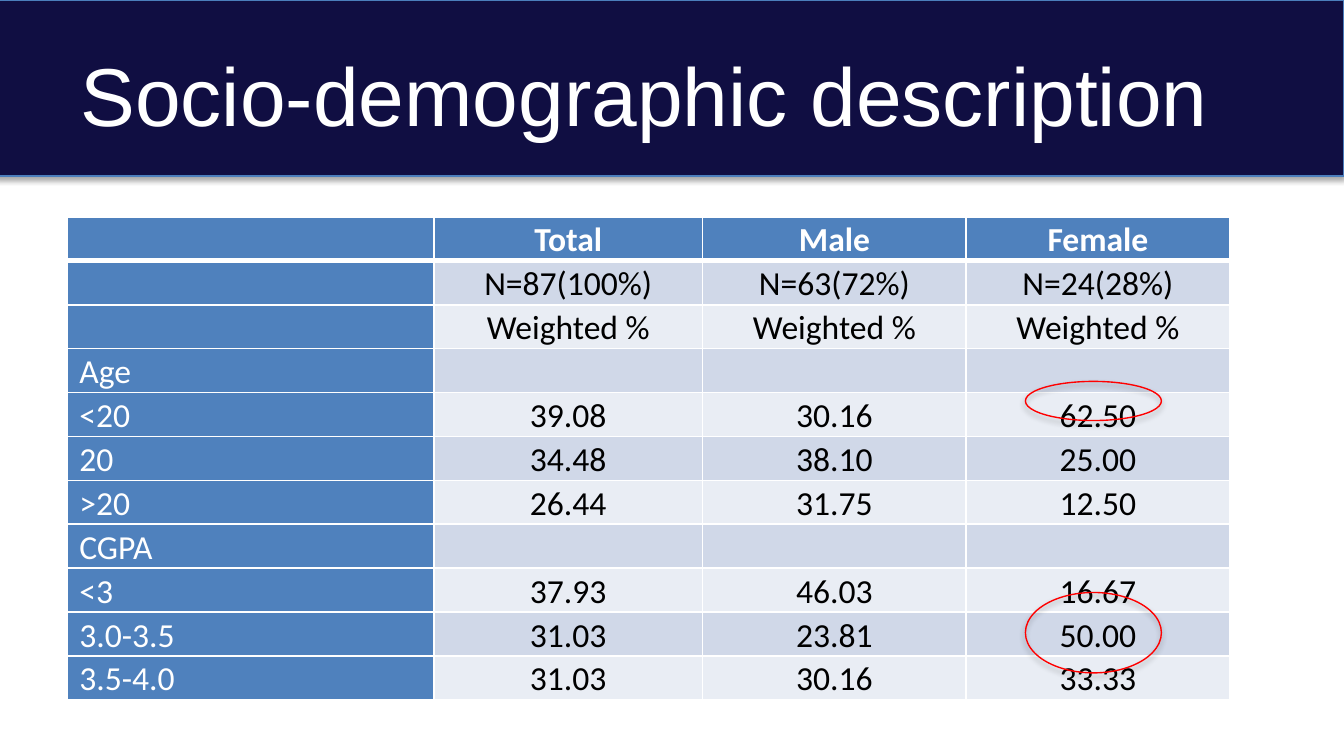
"""Build the socio-demographic description slide."""
from dataclasses import dataclass
from typing import Any, Optional

import lxml.etree
import pptx
import pptx.dml.color
import pptx.enum.shapes
import pptx.enum.text
import pptx.oxml.ns
import pptx.util

Cm = pptx.util.Cm
Pt = pptx.util.Pt
RGBColor = pptx.dml.color.RGBColor
MSO_SHAPE = pptx.enum.shapes.MSO_SHAPE
PP_ALIGN = pptx.enum.text.PP_ALIGN
MIDDLE = pptx.enum.text.MSO_ANCHOR.MIDDLE
qn = pptx.oxml.ns.qn

WHITE = RGBColor(0xFF, 0xFF, 0xFF)
BLACK = RGBColor(0x00, 0x00, 0x00)
NAVY = RGBColor(0x10, 0x0E, 0x42)
BANNER_EDGE = RGBColor(0x4B, 0x7E, 0xBC)
HEADING_BLUE = RGBColor(0x4F, 0x81, 0xBD)
BANDS = (RGBColor(0xE9, 0xED, 0xF4), RGBColor(0xD0, 0xD8, 0xE8))
RED = RGBColor(0xFF, 0x00, 0x00)

COLUMN_WIDTHS = (6.93, 5.08, 4.98, 4.98)
ROW_HEIGHT = 0.74
ROWS = (
    ("", "Total", "Male", "Female"),
    ("", "N=87(100%)", "N=63(72%)", "N=24(28%)"),
    ("", "Weighted %", "Weighted %", "Weighted %"),
    ("Age", "", "", ""),
    ("<20", "39.08", "30.16", "62.50"),
    ("20", "34.48", "38.10", "25.00"),
    (">20", "26.44", "31.75", "12.50"),
    ("CGPA", "", "", ""),
    ("<3", "37.93", "46.03", "16.67"),
    ("3.0-3.5", "31.03", "23.81", "50.00"),
    ("3.5-4.0", "31.03", "30.16", "33.33"),
)
CELL_FORMAT = {
    "margin_left": Cm(0.23), "margin_right": Cm(0.23),
    "margin_top": 0, "margin_bottom": 0, "vertical_anchor": MIDDLE,
}
PARAGRAPH_FORMAT = {"line_spacing": 1.07, "space_after": Pt(8)}
CELL_FONT = {"name": "Calibri", "size": Pt(18)}
TITLE_FONT = {"name": "Arial", "size": Pt(44)}


@dataclass(frozen=True)
class Outline:
    """A shadowed shape, with lengths in centimetres."""

    preset: Any
    left: float
    top: float
    width: float
    height: float
    edge: RGBColor
    fill: Optional[RGBColor] = None


BANNER = Outline(MSO_SHAPE.RECTANGLE, -0.1, 0, 25.5, 3.33, BANNER_EDGE, NAVY)
HIGHLIGHTS = (
    Outline(MSO_SHAPE.OVAL, 19.38, 7.21, 2.57, 0.74, RED),
    Outline(MSO_SHAPE.OVAL, 19.38, 11.2, 2.57, 1.52, RED),
)


def apply_format(target: Any, values: dict) -> None:
    """Set each format value on the target."""
    for attribute, value in values.items():
        setattr(target, attribute, value)


def add_color(parent: Any, color: RGBColor) -> Any:
    """Append an RGB colour element."""
    return lxml.etree.SubElement(parent, qn("a:srgbClr"), val=str(color))


def draw_outline(slide: Any, outline: Outline) -> None:
    """Draw a preset shape with a soft shadow below it."""
    shape = slide.shapes.add_shape(
        outline.preset, Cm(outline.left), Cm(outline.top),
        Cm(outline.width), Cm(outline.height))
    if outline.fill is None:
        shape.fill.background()
    else:
        shape.fill.solid()
        shape.fill.fore_color.rgb = outline.fill
    shape.line.color.rgb = outline.edge
    shape.line.width = Pt(0.75)
    shape.shadow.inherit = False
    effects = shape.element.spPr.find(qn("a:effectLst"))
    shadow = lxml.etree.SubElement(
        effects, qn("a:outerShdw"), blurRad=str(Pt(3.1)), dist=str(Pt(1.8)),
        dir="5400000", rotWithShape="0")
    lxml.etree.SubElement(add_color(shadow, BLACK), qn("a:alpha"), val="35000")


def draw_borders(cell: Any, row: int) -> None:
    """Give a cell white borders, thicker under the header row."""
    widths = {"a:lnL": 1, "a:lnR": 1,
              "a:lnT": 3 if row == 1 else 1, "a:lnB": 3 if row == 0 else 1}
    properties = cell._tc.get_or_add_tcPr()
    for side, width in widths.items():
        border = lxml.etree.SubElement(properties, qn(side), w=str(Pt(width)))
        add_color(lxml.etree.SubElement(border, qn("a:solidFill")), WHITE)


def fill_cell(cell: Any, text: str, row: int, column: int) -> None:
    """Write and format one table cell."""
    heading = row == 0 or column == 0
    apply_format(cell, CELL_FORMAT)
    draw_borders(cell, row)
    cell.fill.solid()
    cell.fill.fore_color.rgb = HEADING_BLUE if heading else BANDS[row % 2]
    paragraph = cell.text_frame.paragraphs[0]
    apply_format(paragraph, PARAGRAPH_FORMAT)
    paragraph.alignment = PP_ALIGN.CENTER if column else PP_ALIGN.LEFT
    if text:
        run = paragraph.add_run()
        run.text = text
        apply_format(run.font, {**CELL_FONT, "bold": row == 0})
        run.font.color.rgb = WHITE if heading else BLACK


def draw_table(slide: Any) -> None:
    """Draw the table of weighted percentages."""
    table = slide.shapes.add_table(
        len(ROWS), len(COLUMN_WIDTHS), Cm(1.27), Cm(4.1),
        Cm(sum(COLUMN_WIDTHS)), Cm(ROW_HEIGHT * len(ROWS))).table
    for column, width in zip(table.columns, COLUMN_WIDTHS):
        column.width = Cm(width)
    for row, texts in enumerate(ROWS):
        table.rows[row].height = Cm(ROW_HEIGHT)
        for column, text in enumerate(texts):
            fill_cell(table.cell(row, column), text, row, column)


def draw_title(slide: Any) -> None:
    """Write the slide title over the banner."""
    title = slide.shapes.add_textbox(Cm(1.27), Cm(0.58), Cm(22.86), Cm(2.39))
    apply_format(title.text_frame, {"word_wrap": True, "vertical_anchor": MIDDLE})
    run = title.text_frame.paragraphs[0].add_run()
    run.text = "Socio-demographic description"
    apply_format(run.font, TITLE_FONT)
    run.font.color.rgb = WHITE


def main() -> None:
    """Build and save the presentation."""
    presentation = pptx.Presentation()
    apply_format(presentation, {"slide_width": Cm(25.4), "slide_height": Cm(14.29)})
    slide = presentation.slides.add_slide(presentation.slide_layouts[6])
    draw_outline(slide, BANNER)
    draw_table(slide)
    for highlight in HIGHLIGHTS:
        draw_outline(slide, highlight)
    draw_title(slide)
    presentation.save("out.pptx")


if __name__ == "__main__":
    main()
